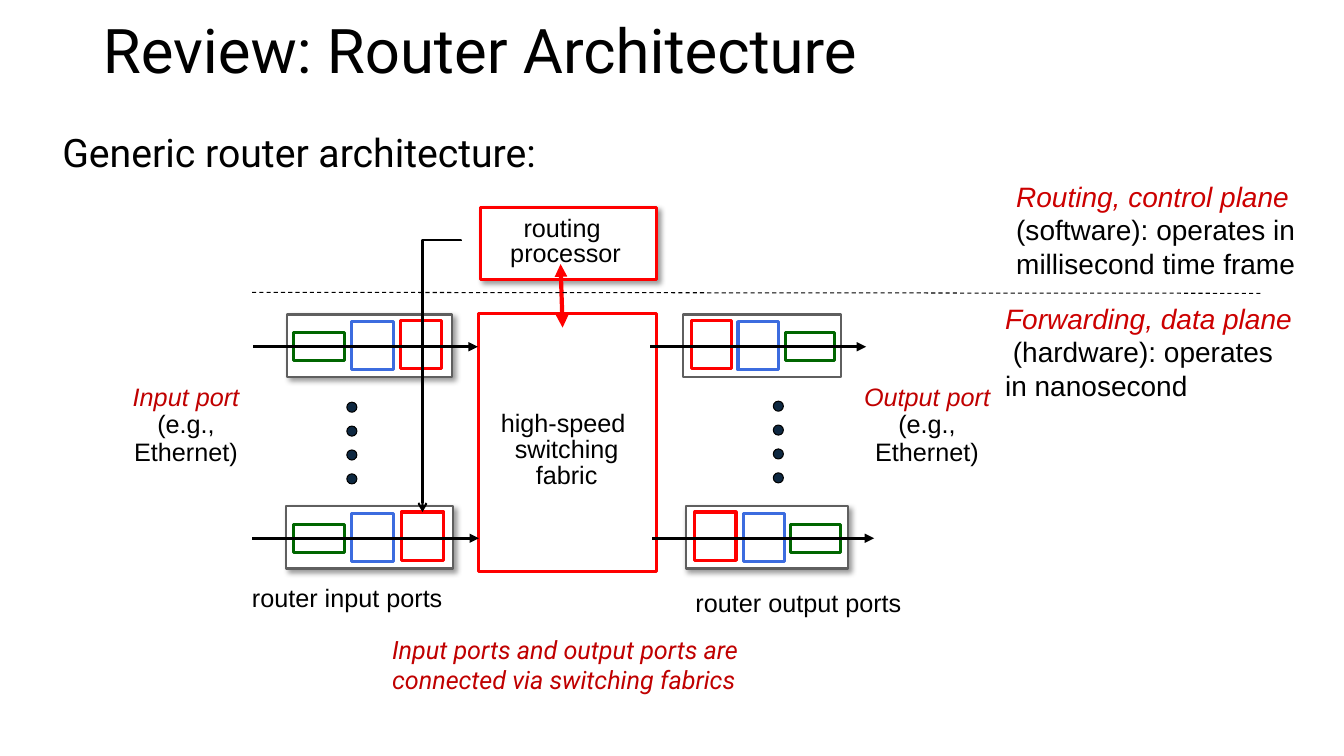
from lxml import etree
from pptx import Presentation
from pptx.dml.color import RGBColor
from pptx.enum.dml import MSO_LINE
from pptx.enum.shapes import MSO_CONNECTOR, MSO_SHAPE
from pptx.enum.text import MSO_ANCHOR, MSO_AUTO_SIZE, PP_ALIGN
from pptx.oxml import parse_xml
from pptx.oxml.ns import nsdecls, qn
from pptx.util import Inches, Pt

RECT, OVAL = MSO_SHAPE.RECTANGLE, MSO_SHAPE.OVAL
STRAIGHT, ELBOW = MSO_CONNECTOR.STRAIGHT, MSO_CONNECTOR.ELBOW
LEFT, CENTER = PP_ALIGN.LEFT, PP_ALIGN.CENTER
BLACK, WHITE, RED, GREEN, BLUE = "000000", "FFFFFF", "FF0000", "006600", "3C6CDF"
GRAY, NAVY, PLANE_RED, PORT_RED = "5F5F5F", "0E2841", "CC0000", "C00000"
SHADOW = (f'<a:effectLst {nsdecls("a")}><a:outerShdw blurRad="50800" dist="38100" '
          'dir="2700000" algn="tl" rotWithShape="0"><a:srgbClr val="000000">'
          '<a:alpha val="40000"/></a:srgbClr></a:outerShdw></a:effectLst>')

prs = Presentation()
prs.slide_width, prs.slide_height = Inches(13.33), Inches(7.5)
slide = prs.slides.add_slide(prs.slide_layouts[5])
shapes = slide.shapes
rgb = RGBColor.from_string


def add_block(kind, box, line_color, line_width=2.25, fill=WHITE, shadow=False):
    block = shapes.add_shape(kind, *map(Inches, box))
    block.fill.solid()
    block.fill.fore_color.rgb = rgb(fill)
    block.line.color.rgb = rgb(line_color)
    block.line.width = Pt(line_width)
    block.shadow.inherit = False
    if shadow:
        properties = block._element.spPr
        properties.remove(properties.find(qn("a:effectLst")))
        properties.append(parse_xml(SHADOW))


def add_line(kind, ends, color, width, head=None, tail=None):
    """Draw a connector; head and tail name the arrowheads at its start and end."""
    connector = shapes.add_connector(kind, *map(Inches, ends))
    connector.line.color.rgb = rgb(color)
    connector.line.width = Pt(width)
    for tag, arrow in (("a:headEnd", head), ("a:tailEnd", tail)):
        if arrow:
            etree.SubElement(connector.line._get_or_add_ln(), qn(tag)).set("type", arrow)
    etree.SubElement(connector._element.spPr, qn("a:effectLst"))
    return connector


title = shapes.title
title_format = {"left": Inches(0.92), "top": Inches(0.15),
                "width": Inches(11.5), "height": Inches(0.76)}
for attribute, value in title_format.items():
    setattr(title, attribute, value)
title.text_frame.text = "Review: Router Architecture"
title.text_frame.auto_size = MSO_AUTO_SIZE.NONE
title.text_frame.vertical_anchor = MSO_ANCHOR.MIDDLE
heading = title.text_frame.paragraphs[0]
heading.alignment, heading.line_spacing = LEFT, 0.9
heading.font.name, heading.font.size = "Roboto", Pt(44)
heading.font.color.rgb = rgb(BLACK)

# Switching fabric and routing processor
add_block(RECT, (4.75, 3.11, 1.76, 2.56), RED)
add_block(RECT, (4.77, 2.06, 1.74, 0.71), RED, shadow=True)

# Ports: row top, frame, (left, width) of the green, blue and red stages, arrow ends
ports = [
    (3.12, (2.85, 1.63), (2.91, 0.51), (3.49, 0.41), (3.97, 0.41), (2.51, 4.74), True),
    (5.02, (2.84, 1.65), (2.91, 0.51), (3.49, 0.41), (3.98, 0.42), (2.5, 4.75), True),
    (3.12, (6.77, 1.57), (7.79, 0.49), (7.32, 0.4), (6.86, 0.4), (6.45, 8.59), False),
    (5.02, (6.8, 1.61), (7.84, 0.5), (7.37, 0.41), (6.89, 0.41), (6.47, 8.67), True),
]
for top, frame, green, blue, red, (start, end), shadow in ports:
    add_block(RECT, (frame[0], top, frame[1], 0.62), GRAY, 1.5, shadow=shadow)
    for (left, width), drop, height, color in ((green, 0.18, 0.28, GREEN),
                                               (blue, 0.07, 0.48, BLUE),
                                               (red, 0.06, 0.48, RED)):
        add_block(RECT, (left, top + drop, width, height), color)
    add_line(STRAIGHT, (start, top + 0.32, end, top + 0.32), BLACK, 2.25, tail="triangle")

# Dots between the first and last port
for dots_left, dots_top in ((3.44, 3.99), (7.67, 3.98)):
    for step in range(4):
        add_block(OVAL, (dots_left, dots_top + step * 0.237, 0.1, 0.1), BLACK, 0.75, NAVY)

# Labels: box, size, font, line spacing, alignment, wrap, paragraphs of (text, color, italic)
labels = [
    ((0.52, 1.22, 5.29, 0.57), 28, "Roboto", 1.0, LEFT, True,
     [[("Generic router architecture:", BLACK, False)]]),
    ((4.86, 4.04, 1.52, 0.87), 18, "Arial", 0.85, CENTER, False,
     [[("high-speed ", BLACK, False)], [("switching", BLACK, False)],
      [("fabric", BLACK, False)]]),
    ((4.96, 2.1, 1.3, 0.61), 18, "Arial", 0.85, CENTER, False,
     [[("routing ", BLACK, False)], [("processor", BLACK, False)]]),
    ((2.4, 5.73, 2.09, 0.4), 18, "Arial", 1.0, LEFT, False,
     [[("router input ports", BLACK, False)]]),
    ((6.8, 5.78, 2.24, 0.4), 18, "Arial", 1.0, LEFT, False,
     [[("router output ports", BLACK, False)]]),
    ((9.87, 2.94, 3.09, 1.11), 20, "Arial", 1.0, LEFT, True,
     [[("Forwarding, data plane ", PLANE_RED, True),
       (" (hardware): operates in nanosecond", BLACK, False)]]),
    ((9.98, 1.73, 2.98, 1.11), 20, "Arial", 1.0, LEFT, True,
     [[("Routing, control plane ", PLANE_RED, True),
       ("(software): operates in millisecond time frame", BLACK, False)]]),
    ((3.79, 6.24, 3.69, 0.71), 18, "Roboto", 1.0, LEFT, True,
     [[("Input ports and output ports are connected via switching fabrics",
        PORT_RED, True)]]),
]
for port_name, box in (("Input port", (1.03, 3.77, 1.63, 0.92)),
                       ("Output port", (8.41, 3.77, 1.57, 0.92))):
    labels.append((box, 18, "Arial", 0.9, CENTER, True,
                   [[(port_name, PORT_RED, True)], [("(e.g.,", BLACK, False)],
                    [("Ethernet)", BLACK, False)]]))

for box, size, font, spacing, alignment, wrap, paragraphs in labels:
    frame = shapes.add_textbox(*map(Inches, box)).text_frame
    frame.word_wrap = wrap
    frame.auto_size = MSO_AUTO_SIZE.SHAPE_TO_FIT_TEXT
    for index, runs in enumerate(paragraphs):
        paragraph = frame.add_paragraph() if index else frame.paragraphs[0]
        paragraph.alignment, paragraph.line_spacing = alignment, spacing
        for text, color, italic in runs:
            run = paragraph.add_run()
            run.text = text
            run_format = {"name": font, "size": Pt(size), "italic": italic}
            for attribute, value in run_format.items():
                setattr(run.font, attribute, value)
            run.font.color.rgb = rgb(color)

# Control links and the boundary between the planes
add_line(STRAIGHT, (5.56, 2.62, 5.58, 3.25), RED, 3, head="triangle", tail="triangle")
boundary = add_line(STRAIGHT, (2.5, 2.9, 12.5, 2.91), BLACK, 0.75)
boundary.line.dash_style = MSO_LINE.DASH
control_link = add_line(ELBOW, (3.03, 3.54, 5.73, 3.92), BLACK, 1.5, tail="arrow")
control_link._element.spPr.find(qn("a:xfrm")).set("rot", "5400000")
bend = control_link._element.spPr.find(qn("a:prstGeom")).find(qn("a:avLst"))
etree.SubElement(bend, qn("a:gd"), name="adj1", fmla="val -100")

prs.save("out.pptx")
